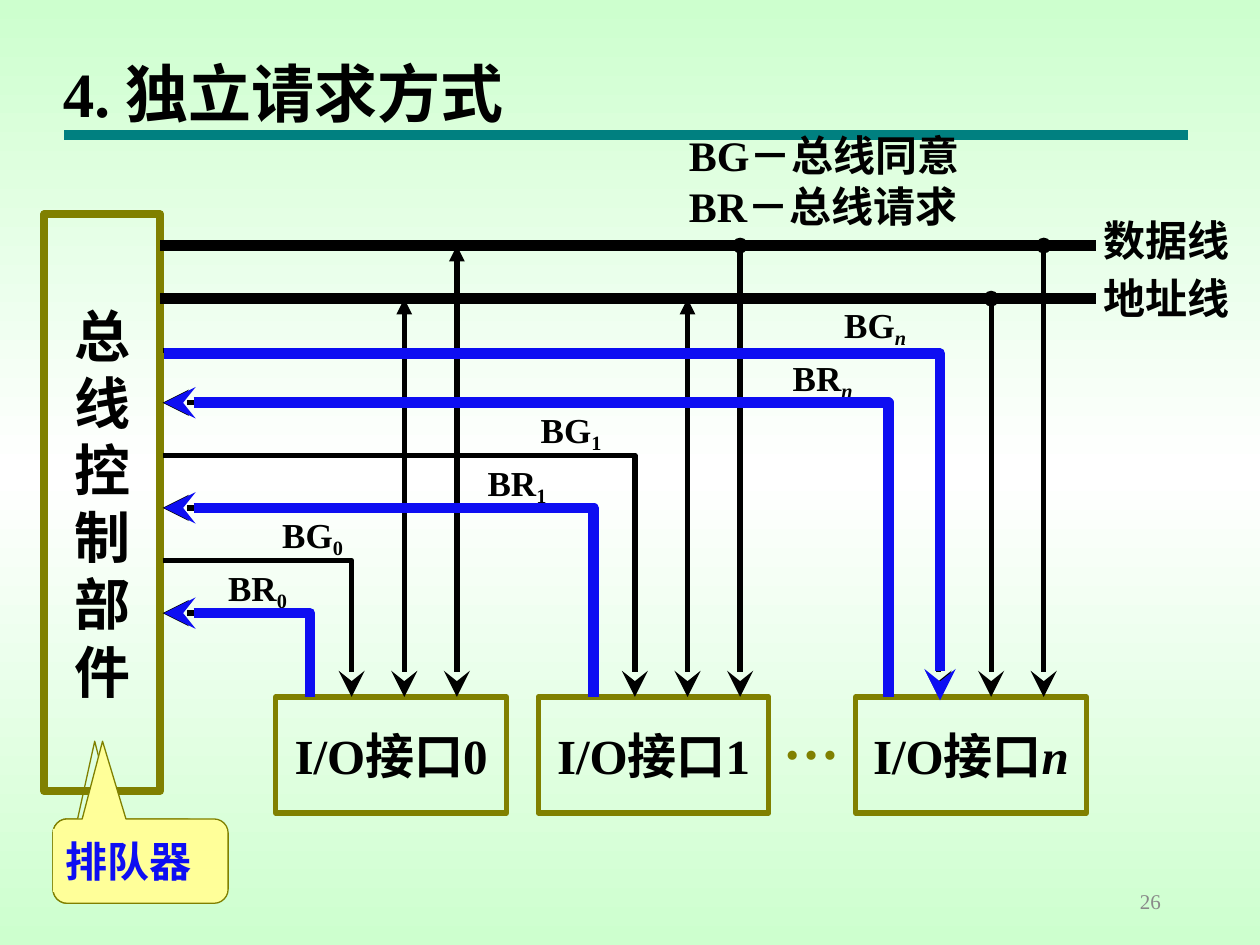
from copy import deepcopy

from lxml.etree import SubElement
from pptx import Presentation
from pptx.dml.color import RGBColor as Rgb
from pptx.enum.shapes import MSO_CONNECTOR as Link, MSO_SHAPE as Kind
from pptx.enum.text import MSO_ANCHOR as Anchor, PP_ALIGN as Align
from pptx.oxml.ns import qn
from pptx.util import Cm, Pt

HUE = {"black": "000000", "blue": "0E0EF2", "olive": "808000", "teal": "008080",
       "cream": "FFFF99", "gray": "898989", "green": "CDFFCE", "white": "FFFFFF"}
FONT = "Times New Roman"

TITLE = "4. 独立请求方式"
LEGEND = ["BG－总线同意", "BR－总线请求"]
CONTROL = list("总线控制部件")
QUEUE = "排队器"
PAGE = "26"

# bus name, height of its line, top of its label
BUSES = [("地址线", 6.02, 5.36), ("数据线", 4.95, 4.19)]
# unit, left of box, x of BR, x of BG, head of address line, head of data line
UNITS = [("0", 5.56, 6.22, 7.09, "triangle", "triangle"),
         ("1", 10.85, 11.94, 12.8, "triangle", "oval"),
         ("n", 17.25, 17.88, 18.92, "oval", "oval")]
# signal, unit index, left of label, shown in blue; from top to bottom
SIGNALS = [("BG", 2, 17.02, True), ("BR", 2, 15.98, True),
           ("BG", 1, 10.9, False), ("BR", 1, 9.83, True),
           ("BG", 0, 5.69, False), ("BR", 0, 4.6, True)]
BUS_X, BUS_END = 3.23, 22.1
SIG_X, SIG_Y, SIG_GAP = 3.28, 7.06, 1.06
UNIT_Y, UNIT_W, UNIT_H = 14.05, 4.65, 2.34
TAP_GAP = 1.06
LABEL_W, LABEL_H = 2.34, 0.94

deck = Presentation()
deck.slide_width, deck.slide_height = Cm(25.4), Cm(19.05)
slide = deck.slides.add_slide(deck.slide_layouts[6])
shapes = slide.shapes


def color(name):
    return Rgb.from_string(HUE[name])


def write(frame, paras, size=24, hue="black", bold=True, align=Align.LEFT,
          anchor=Anchor.TOP, wrap=False, pad=True):
    """Fill a frame; a paragraph is a string or a list of (text, marks), i italic, s subscript."""
    frame.word_wrap, frame.vertical_anchor = wrap, anchor
    side, edge = (Cm(0.25), Cm(0.13)) if pad else (0, 0)
    frame.margin_left = frame.margin_right = side
    frame.margin_top = frame.margin_bottom = edge
    for i, runs in enumerate(paras):
        para = frame.add_paragraph() if i else frame.paragraphs[0]
        para.alignment = align
        for words, marks in [(runs, "")] if isinstance(runs, str) else runs:
            run = para.add_run()
            run.text = words
            font = run.font
            font.name, font.size, font.bold = FONT, Pt(size), bold
            font.color.rgb = color(hue)
            if "i" in marks:
                font.italic = True
            if "s" in marks:
                run._r.get_or_add_rPr().set("baseline", "-20000")


def label(paras, x, y, w, h, **form):
    area = shapes.add_textbox(Cm(x), Cm(y), Cm(w), Cm(h))
    write(area.text_frame, paras, **form)


def block(kind, x, y, w, h, fill=None, line=None, width=1):
    shape = shapes.add_shape(kind, Cm(x), Cm(y), Cm(w), Cm(h))
    shape.shadow.inherit = False
    if fill:
        shape.fill.solid()
        shape.fill.fore_color.rgb = color(fill)
    else:
        shape.fill.background()
    if line:
        shape.line.color.rgb = color(line)
        shape.line.width = Pt(width)
    else:
        shape.line.fill.background()
    return shape


def stroke(shape, hue, width, head=None, tail=None):
    shape.line.color.rgb, shape.line.width = color(hue), Pt(width)
    ln = shape.line._get_or_add_ln()
    SubElement(ln, qn("a:round"))
    for tag, kind in (("a:headEnd", head), ("a:tailEnd", tail)):
        if kind:
            size = "lg" if kind == "stealth" and width < 6 else "med"
            SubElement(ln, qn(tag), type=kind, w=size, len=size)


def wire(x1, y1, x2, y2, hue="black", width=6, **ends):
    link = shapes.add_connector(Link.STRAIGHT, Cm(x1), Cm(y1), Cm(x2), Cm(y2))
    stroke(link, hue, width, **ends)
    SubElement(link._element.spPr, qn("a:effectLst"))


def bend(name, x1, y1, x2, y2, hue, width):
    """Draw a signal right and then down; BR points back, BG points down."""
    path = shapes.build_freeform(Cm(x1), Cm(y1))
    path.add_line_segments([(Cm(x2), Cm(y1)), (Cm(x2), Cm(y2))], close=False)
    shape = path.convert_to_shape()
    shape.shadow.inherit = False
    shape.fill.background()
    stroke(shape, hue, width, **{"head" if name == "BR" else "tail": "stealth"})


def callout(w, fill=None):
    shape = block(Kind.ROUNDED_RECTANGULAR_CALLOUT, 1.07, 16.51, w, 1.7, fill, "olive", 0.75)
    for i, value in enumerate((-0.217, -1.422, 0.167)):
        shape.adjustments[i] = value


# Background
back = slide.background.fill
back.gradient()
back.gradient_angle = 270
stops = slide._element.find(".//" + qn("a:gsLst"))
stops.append(deepcopy(stops[0]))
for stop, place, name in zip(back.gradient_stops, (0, 0.5, 1), ("green", "white", "green")):
    stop.position, stop.color.rgb = place, color(name)

# Title, bus controller and buses
wire(1.3, 2.72, 23.95, 2.72, "teal")
callout(2.97)
label([TITLE], 1.02, 0.97, 11.68, 1.78, size=36, wrap=True)
control = block(Kind.RECTANGLE, 0.89, 4.32, 2.34, 11.63, None, "olive", 4.5)
write(control.text_frame, CONTROL, size=32, align=Align.CENTER, anchor=Anchor.MIDDLE)
for name, y, top in BUSES:
    wire(BUS_X, y, BUS_END, y)
    label([name], 22, top, 3.05, 1.27)

# Units with their address and data lines
for name, left, _, bg, *heads in UNITS:
    unit = block(Kind.RECTANGLE, left, UNIT_Y, UNIT_W, UNIT_H, None, "olive", 3)
    runs = [("I/O接口", ""), (name, "i")] if name == "n" else "I/O接口" + name
    write(unit.text_frame, [runs], size=28, align=Align.CENTER, anchor=Anchor.MIDDLE)
    for i, ((_, y, _), head) in enumerate(zip(BUSES, heads), 1):
        x = bg + i * TAP_GAP
        wire(x, y, x, UNIT_Y, width=3, head=head, tail="stealth")
label(["…"], 15.54, UNIT_Y, 1.63, 1.63, size=32, hue="olive")

# Request and grant signals
marked = []
for i, (name, index, left, blue) in enumerate(SIGNALS):
    number, _, br, bg, *_ = UNITS[index]
    x, y = br if name == "BR" else bg, SIG_Y + i * SIG_GAP
    bend(name, SIG_X, y, x, UNIT_Y, "black", 3)
    label([[(name, ""), (number, "is" if number == "n" else "s")]],
          left, y - LABEL_H, LABEL_W, LABEL_H, size=20, wrap=True, pad=False)
    if blue:
        drop = 0.07 if name == "BG" else 0
        marked.append((name, SIG_X + 0.03, y + drop, x + 0.03, UNIT_Y + drop))
label(LEGEND, 13.64, 2.49, 6.55, 2.29, wrap=True)
for signal in marked:
    bend(*signal, "blue", 6)

# Queue note and page number
callout(3.53, "cream")
note = block(Kind.RECTANGLE, 1.07, 16.71, 3.05, 1.27, "cream")
write(note.text_frame, [QUEUE], hue="blue")
label([PAGE], 17.93, 17.65, 5.72, 1.02, size=12, hue="gray", bold=False,
      align=Align.RIGHT, anchor=Anchor.MIDDLE, wrap=True)

deck.save("out.pptx")
